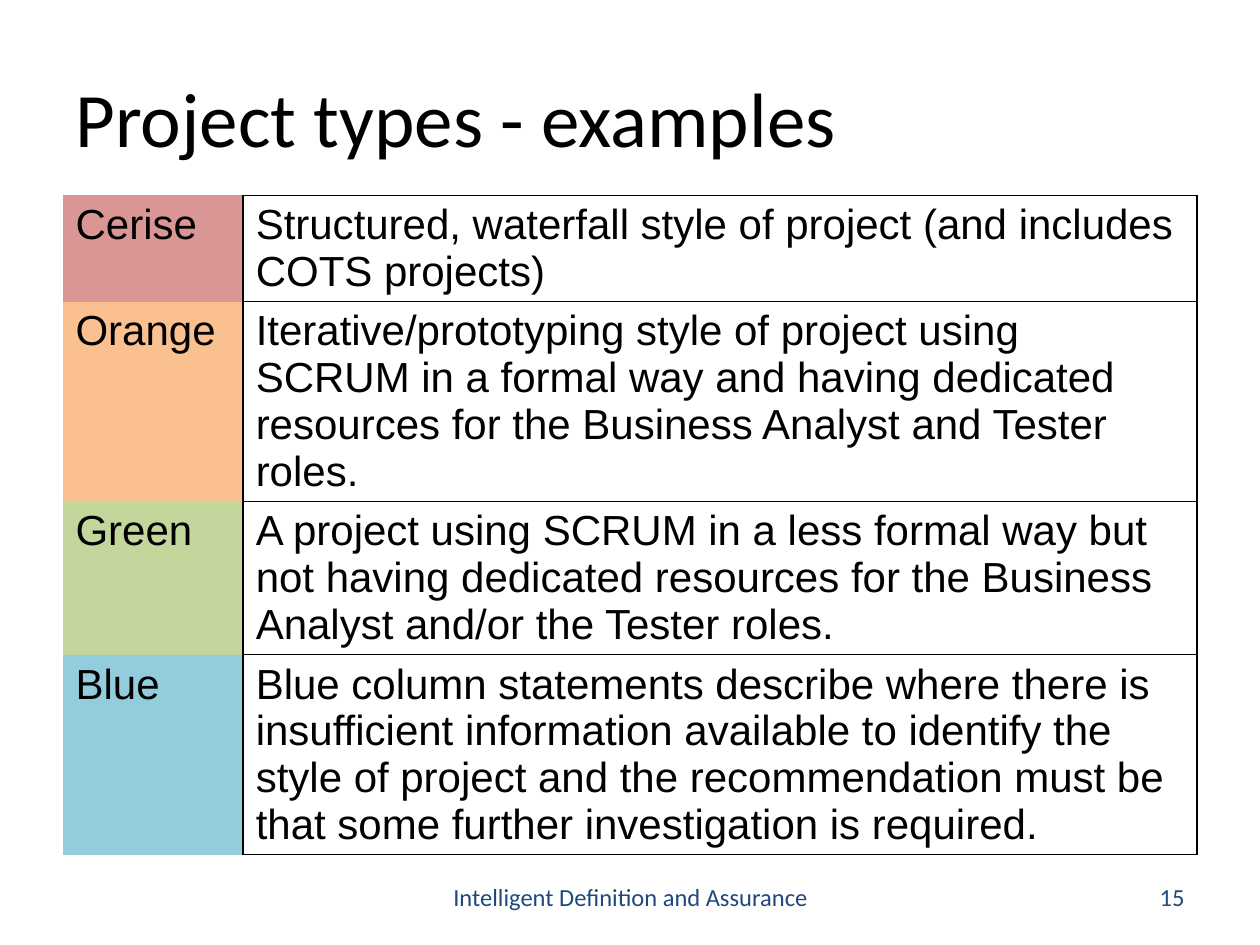
from lxml.etree import SubElement
from pptx import Presentation
from pptx.dml.color import RGBColor
from pptx.enum.text import MSO_ANCHOR, PP_ALIGN
from pptx.oxml.ns import qn
from pptx.util import Inches, Pt

BLACK, NAVY = "000000", "1F497D"
NO_STYLE = "{2D5ABB26-0587-4C30-8999-92F81FD0307C}"
LINE_HEIGHT, CELL_PADDING = 0.37, 0.1
PROJECT_TYPES = [
    ("Cerise", "D99694", 2,
     "Structured, waterfall style of project (and includes COTS projects)"),
    ("Orange", "FAC090", 4,
     "Iterative/prototyping style of project using SCRUM in a formal way and having "
     "dedicated resources for the Business Analyst and Tester roles."),
    ("Green", "C3D69B", 3,
     "A project using SCRUM in a less formal way but not having dedicated resources "
     "for the Business Analyst and/or the Tester roles."),
    ("Blue", "93CDDD", 4,
     "Blue column statements describe where there is insufficient information available "
     "to identify the style of project and the recommendation must be that some further "
     "investigation is required."),
]


def color(value):
    return RGBColor.from_string(value)


def write(frame, text, size, font, ink, align=PP_ALIGN.LEFT):
    frame.word_wrap = True
    paragraph = frame.paragraphs[0]
    paragraph.alignment = align
    run = paragraph.add_run()
    run.text = text
    for name, value in {"size": Pt(size), "name": font, "bold": False}.items():
        setattr(run.font, name, value)
    run.font.color.rgb = color(ink)


def add_title(slide, box, text):
    title = slide.shapes.title
    for name, value in zip(("left", "top", "width", "height"), box):
        setattr(title, name, Inches(value))
    title.text_frame.vertical_anchor = MSO_ANCHOR.MIDDLE
    write(title.text_frame, text, 44, "Calibri", BLACK)


def outline(cell):
    properties = cell._tc.get_or_add_tcPr()
    for position, side in enumerate(("lnL", "lnR", "lnT", "lnB")):
        line = SubElement(properties, qn(f"a:{side}"), w=str(Pt(1)))
        fill = SubElement(line, qn("a:solidFill"))
        SubElement(fill, qn("a:srgbClr"), val=BLACK)
        properties.insert(position, line)


def add_types_table(slide, box, label_width):
    left, top, width, height = box
    frame = slide.shapes.add_table(len(PROJECT_TYPES), 2, Inches(left), Inches(top),
                                   Inches(width), Inches(height))
    table = frame.table
    table.first_row = table.horz_banding = False
    table._tbl.tblPr.find(qn("a:tableStyleId")).text = NO_STYLE
    table.columns[0].width = Inches(label_width)
    table.columns[1].width = Inches(width - label_width)
    for row, (label, tint, lines, description) in zip(table.rows, PROJECT_TYPES):
        row.height = Inches(CELL_PADDING + LINE_HEIGHT * lines)
        label_cell, description_cell = row.cells
        label_cell.fill.solid()
        label_cell.fill.fore_color.rgb = color(tint)
        description_cell.fill.background()
        outline(description_cell)
        write(label_cell.text_frame, label, 24, "Arial", BLACK)
        write(description_cell.text_frame, description, 24, "Arial", BLACK)


def add_footer(slide, box, text, align):
    footer = slide.shapes.add_textbox(*map(Inches, box))
    write(footer.text_frame, text, 14, "Calibri", NAVY, align)


def main():
    deck = Presentation()
    deck.slide_width, deck.slide_height = Inches(10), Inches(7.5)
    slide = deck.slides.add_slide(deck.slide_layouts[5])
    add_title(slide, (0.5, 0.3, 9, 1.25), "Project types - examples")
    add_types_table(slide, (0.5, 1.55, 9, 5.2), 1.43)
    add_footer(slide, (3.42, 6.95, 3.17, 0.4),
               "Intelligent Definition and Assurance", PP_ALIGN.CENTER)
    add_footer(slide, (7.17, 6.95, 2.33, 0.4), "15", PP_ALIGN.RIGHT)
    deck.save("out.pptx")


if __name__ == "__main__":
    main()
